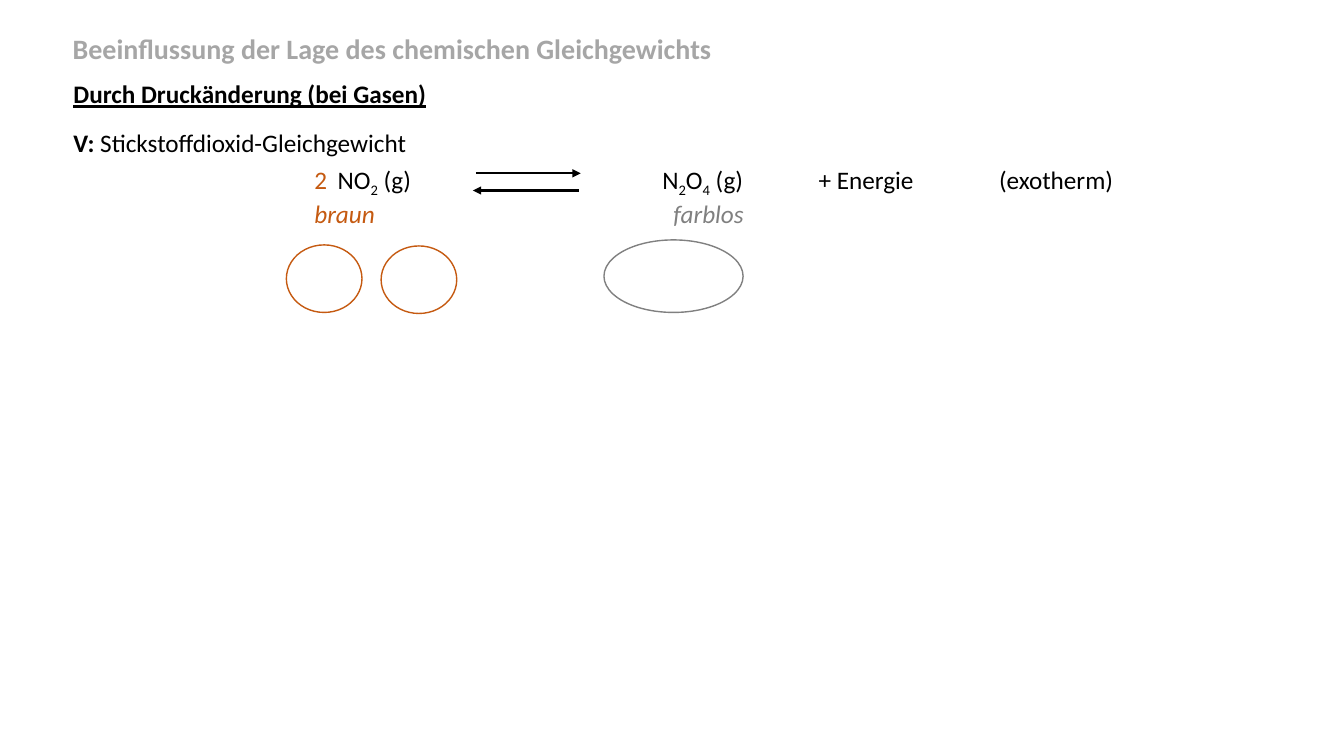
import pptx
import pptx.dml.color
import pptx.enum.shapes
import pptx.enum.text
import pptx.oxml
import pptx.oxml.ns
import pptx.util
import lxml.etree

Inches = pptx.util.Inches
RGBColor = pptx.dml.color.RGBColor
BLACK = RGBColor(0x00, 0x00, 0x00)
BROWN = RGBColor(0xC5, 0x5A, 0x11)
GREY = RGBColor(0x80, 0x80, 0x80)
LIGHT_GREY = RGBColor(0xA6, 0xA6, 0xA6)


def add_element(parent, tag, **attributes):
    return lxml.etree.SubElement(parent, pptx.oxml.ns.qn(tag), **attributes)


class EquilibriumSlide:
    """Slide with one text style and a method for each kind of element."""

    font_name = "Calibri"
    font_size = 18

    def __init__(self, presentation):
        self.slide = presentation.slides.add_slide(presentation.slide_layouts[5])

    def run(self, paragraph, text, color=BLACK, size=font_size, bold=False,
            italic=False, underline=False, subscript=False):
        run = paragraph.add_run()
        run.text = text
        font = run.font
        font.name = self.font_name
        font.size = pptx.util.Pt(size)
        font.color.rgb = color
        font.bold, font.italic, font.underline = bold, italic, underline
        if subscript:
            run._r.get_or_add_rPr().set("baseline", "-25000")

    def title(self, text, left, top, width, height):
        title = self.slide.shapes.title
        title.left, title.top = Inches(left), Inches(top)
        title.width, title.height = Inches(width), Inches(height)
        frame = title.text_frame
        frame.auto_size = pptx.enum.text.MSO_AUTO_SIZE.NONE
        frame.vertical_anchor = pptx.enum.text.MSO_ANCHOR.TOP
        frame.paragraphs[0].alignment = pptx.enum.text.PP_ALIGN.LEFT
        self.run(frame.paragraphs[0], text, LIGHT_GREY, 20, bold=True)

    def text(self, left, top, width, height):
        box = self.slide.shapes.add_textbox(
            Inches(left), Inches(top), Inches(width), Inches(height))
        box.text_frame.word_wrap = True
        return box.text_frame

    def tabs(self, paragraph, stops):
        tab_list = add_element(paragraph._p.get_or_add_pPr(), "a:tabLst")
        for stop in stops:
            add_element(tab_list, "a:tab", pos=str(Inches(stop)), algn="l")

    def arrow(self, start, end, y):
        arrow = self.slide.shapes.add_connector(
            pptx.enum.shapes.MSO_CONNECTOR.STRAIGHT,
            Inches(start), Inches(y), Inches(end), Inches(y))
        arrow.line.color.rgb = BLACK
        arrow.line.width = pptx.util.Pt(1.5)
        add_element(arrow.line._get_or_add_ln(), "a:tailEnd", type="triangle")
        add_element(arrow._element.spPr, "a:effectLst")

    def molecule(self, left, top, width, height, color):
        ellipse = self.slide.shapes.add_shape(
            pptx.enum.shapes.MSO_SHAPE.OVAL,
            Inches(left), Inches(top), Inches(width), Inches(height))
        ellipse.shadow.inherit = False
        ellipse.fill.background()
        ellipse.line.color.rgb = color
        ellipse.line.width = pptx.util.Pt(1)


def main():
    presentation = pptx.Presentation()
    presentation.slide_width = Inches(13.33)
    presentation.slide_height = Inches(7.5)
    page = EquilibriumSlide(presentation)

    page.title("Beeinflussung der Lage des chemischen Gleichgewichts",
               0.62, 0.26, 9.61, 0.44)
    heading = page.text(0.63, 0.73, 6.99, 0.4).paragraphs[0]
    page.run(heading, "Durch Druckänderung (bei Gasen)", bold=True, underline=True)

    experiment = page.text(0.63, 1.21, 4.97, 0.4).paragraphs[0]
    page.run(experiment, "V:", bold=True)
    page.run(experiment, " Stickstoffdioxid-Gleichgewicht")

    reaction = page.text(3.02, 1.58, 9.68, 1.01)
    equation = reaction.paragraphs[0]
    page.tabs(equation, [0.23, 3.45, 5, 6.79])
    page.run(equation, "2", BROWN)
    page.run(equation, "\tNO")
    page.run(equation, "2", subscript=True)
    page.run(equation, " (g)\tN")
    page.run(equation, "2", subscript=True)
    page.run(equation, "O")
    page.run(equation, "4", subscript=True)
    page.run(equation, " (g)\t+ Energie\t(exotherm)")

    colours = reaction.add_paragraph()
    page.tabs(colours, [3.56])
    page.run(colours, "braun\t", BROWN, italic=True)
    page.run(colours, "farblos", GREY, italic=True)

    page.arrow(4.72, 5.76, 1.72)
    page.arrow(5.74, 4.69, 1.89)

    for left, top in [(2.84, 2.43), (3.78, 2.44)]:
        page.molecule(left, top, 0.75, 0.67, BROWN)
    page.molecule(5.99, 2.38, 1.38, 0.72, GREY)

    presentation.save("out.pptx")


if __name__ == "__main__":
    main()
